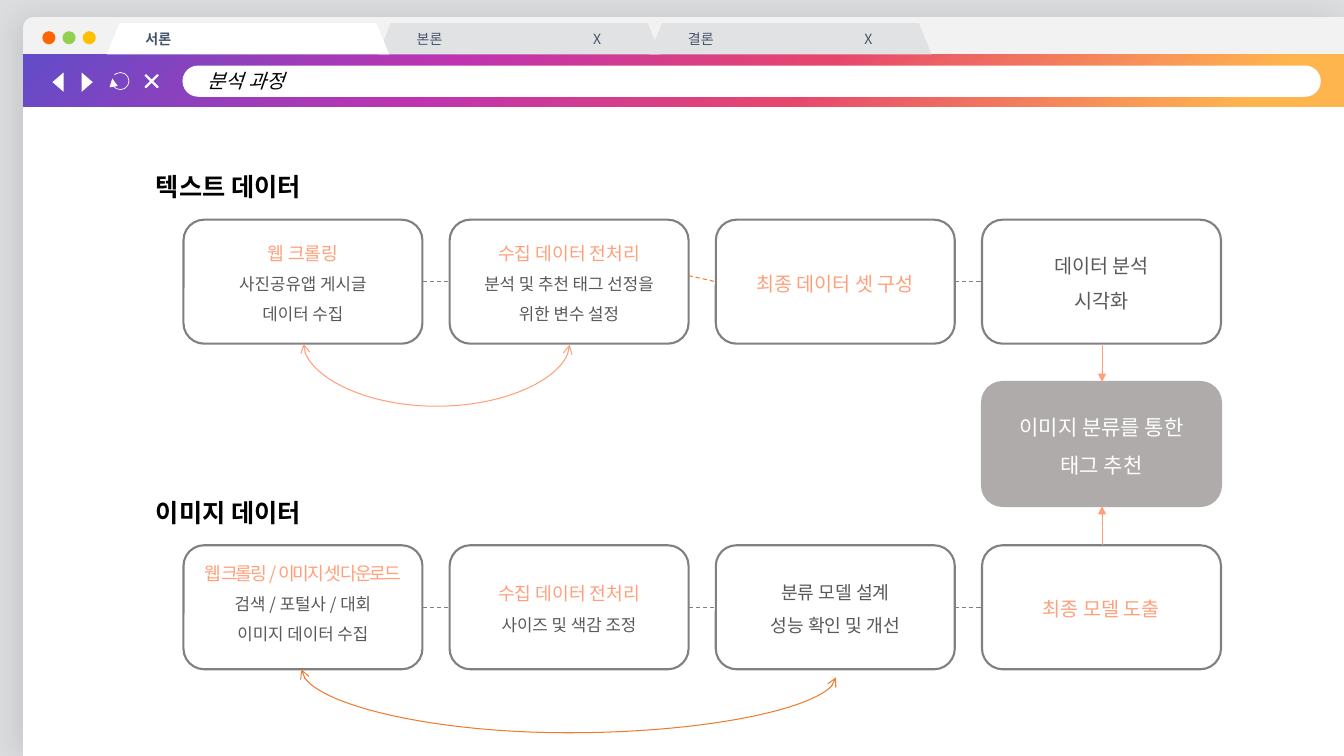
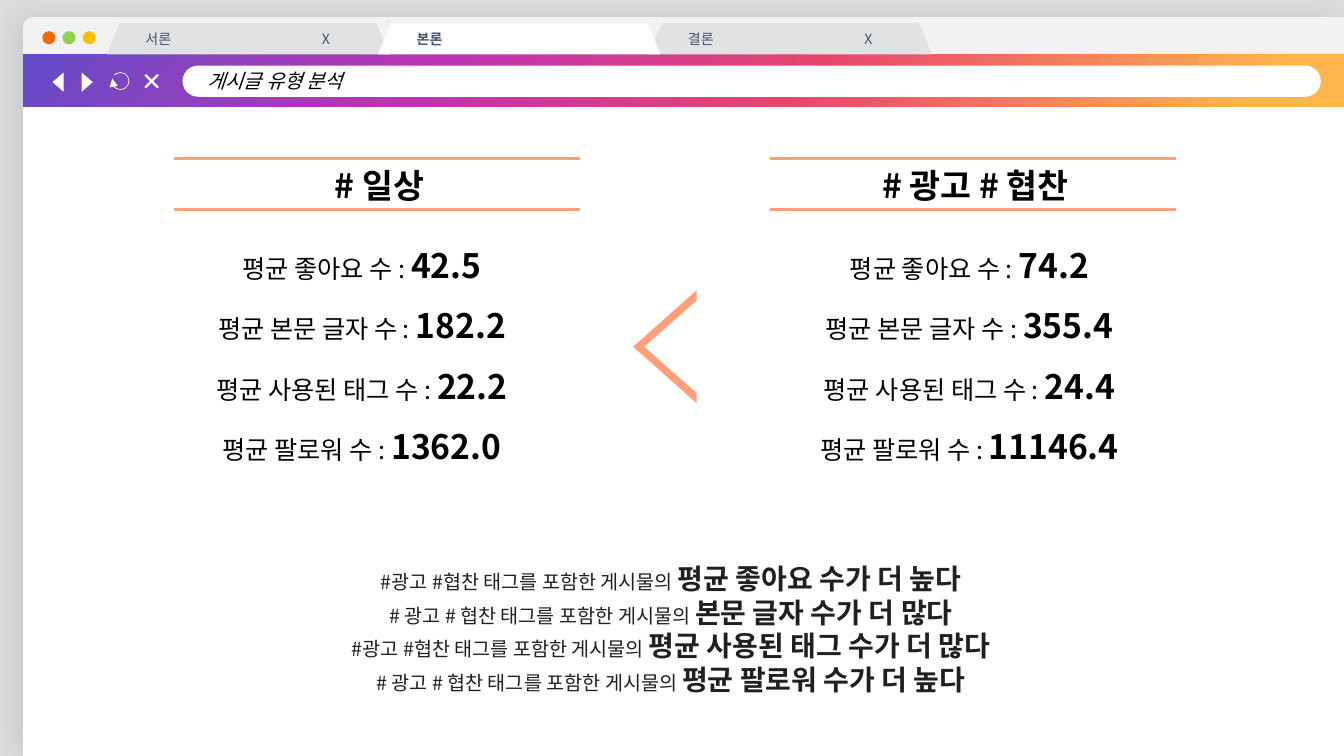
"""Build two browser-styled slides on the analysis process and the post types."""
from lxml.etree import SubElement
from pptx import Presentation
from pptx.dml.color import RGBColor
from pptx.enum.dml import MSO_LINE
from pptx.enum.shapes import MSO_CONNECTOR as LINK, MSO_SHAPE as SHAPE
from pptx.enum.text import MSO_ANCHOR as ANCHOR, PP_ALIGN as ALIGN
from pptx.oxml.ns import qn
from pptx.util import Inches, Pt

FONT = "Noto Sans CJK KR"
BLACK, WHITE, GRAY, DARK = "000000", "FFFFFF", "808080", "595959"
SALMON, ORANGE, SLATE, INK = "FFA07A", "ED7D31", "44546A", "202020"
WIDTH, HEIGHT = 13.33, 7.5
EDGE, BAND_TOP, BAND_HEIGHT = 0.23, 0.54, 0.52
TAB_LEFT, TAB_STEP, TAB_WIDTH, TAB_HEIGHT = 1.06, 2.69, 2.8, 0.31
BOX_LEFT, BOX_STEP, BOX_WIDTH, BOX_HEIGHT = 1.82, 2.64, 2.37, 1.23
TEXT_ROW, IMAGE_ROW, RESULT_ROW = 2.18, 5.41, 3.79


def draw(page, kind, left, top, width, height, fill=None, line=None, weight=1):
    """Add a flat preset shape with the given fill and outline."""
    shape = page.shapes.add_shape(kind, Inches(left), Inches(top), Inches(width), Inches(height))
    shape.shadow.inherit = False
    for paint, color in ((shape.fill, fill), (shape.line.fill, line)):
        if color:
            paint.solid()
            paint.fore_color.rgb = RGBColor.from_string(color)
        else:
            paint.background()
    if line:
        shape.line.width = Pt(weight)
    return shape


def write(para, text, size, color, bold=False, italic=False):
    """Add a formatted span of text to a paragraph."""
    span = para.add_run()
    span.text = text
    font = span.font
    font.name, font.size, font.bold, font.italic = FONT, Pt(size), bold, italic
    font.color.rgb = RGBColor.from_string(color)
    SubElement(span._r.get_or_add_rPr(), qn("a:ea"), typeface=FONT)
    return span


deck = Presentation()
deck.slide_width, deck.slide_height = Inches(WIDTH), Inches(HEIGHT)
layout = deck.slide_layouts[5]
layout.background.fill.solid()
layout.background.fill.fore_color.rgb = RGBColor.from_string("DDDEE0")
process, posts = [deck.slides.add_slide(layout) for _ in range(2)]

window = draw(process, SHAPE.ROUND_1_RECTANGLE, EDGE, 0.17, WIDTH - EDGE, HEIGHT - 0.17, "F2F2F2")
window.adjustments[0] = 0.014
window._element.spPr.xfrm.set("flipH", "1")
effects = window._element.spPr.find(qn("a:effectLst"))
glow = SubElement(effects, qn("a:outerShdw"), blurRad=str(Pt(22)), dist=str(Pt(5)), dir="10800000")
tint = SubElement(glow, qn("a:srgbClr"), val=BLACK)
SubElement(tint, qn("a:alpha"), val="10000")
draw(process, SHAPE.RECTANGLE, EDGE, BAND_TOP, WIDTH - EDGE, HEIGHT - BAND_TOP, WHITE)
for index, color in enumerate(("FF6600", "92D050", "FFC000")):
    draw(process, SHAPE.OVAL, 0.42 + 0.2 * index, 0.31, 0.13, 0.13, color)

band = draw(process, SHAPE.RECTANGLE, EDGE, BAND_TOP, WIDTH - EDGE, BAND_HEIGHT)
band.fill.gradient()
band.fill.gradient_angle = 315
stops = band._element.spPr.find(qn("a:gradFill")).find(qn("a:gsLst"))
for stop in list(stops):
    stops.remove(stop)
for share, color in ((0, "624CC8"), (32, "BF33B0"), (59, "E6466D"), (93, "FFB54E")):
    stop = SubElement(stops, qn("a:gs"), pos=str(share * 1000))
    SubElement(stop, qn("a:srgbClr"), val=color)

address = draw(process, SHAPE.ROUNDED_RECTANGLE, 1.81, 0.65, 11.29, 0.31, WHITE)
address.adjustments[0] = 0.5
for left, angle in ((0.48, 270), (0.77, 90)):
    draw(process, SHAPE.ISOSCELES_TRIANGLE, left, 0.76, 0.19, 0.11, WHITE).rotation = angle
cross = draw(process, SHAPE.MATH_PLUS, 1.39, 0.69, 0.23, 0.23, GRAY, WHITE)
cross.adjustments[0] = 0.04
cross.rotation = 315
reload_arc = draw(process, SHAPE.ARC, 1.11, 0.72, 0.17, 0.17, None, WHITE, 0.5)
reload_arc.adjustments[0], reload_arc.adjustments[1] = 135.6, 118.8
SubElement(reload_arc.line._get_or_add_ln(), qn("a:tailEnd"), type="triangle")
for shape in list(process.shapes):
    if not shape.is_placeholder:
        layout.shapes._spTree.append(shape._element)

tab_names = ("서론", "본론", "결론")
for page, heading, active in ((process, "분석 과정", 0), (posts, "게시글 유형 분석", 1)):
    title = page.shapes.title
    title.left, title.top, title.width, title.height = (
        Inches(1.81), Inches(0.65), Inches(11.29), Inches(0.31))
    frame = title.text_frame
    frame.margin_left, frame.margin_top, frame.margin_bottom = Inches(0.25), 0, 0
    frame.vertical_anchor = ANCHOR.MIDDLE
    frame.paragraphs[0].alignment = ALIGN.LEFT
    write(frame.paragraphs[0], heading, 14, BLACK, italic=True)
    for index in sorted(range(3), key=lambda number: number == active):
        current = index == active
        tab = draw(page, SHAPE.TRAPEZOID, TAB_LEFT + TAB_STEP * index, 0.23, TAB_WIDTH,
                   TAB_HEIGHT, WHITE if current else "E1E2E4")
        tab.adjustments[0] = 0.405
        frame = tab.text_frame
        frame.margin_left, frame.vertical_anchor = Inches(0.3), ANCHOR.MIDDLE
        para = frame.paragraphs[0]
        para.alignment = ALIGN.LEFT
        if not current:
            tabs = SubElement(para._p.get_or_add_pPr(), qn("a:tabLst"))
            SubElement(tabs, qn("a:tab"), pos=str(Inches(1.75)), algn="l")
        write(para, tab_names[index] + ("" if current else "\tX"), 10, SLATE, bold=current)

steps = [
    (0, TEXT_ROW, [("웹 크롤링", 13, SALMON), ("사진공유앱 게시글", 12, DARK),
                   ("데이터 수집", 12, DARK)]),
    (1, TEXT_ROW, [("수집 데이터 전처리", 13, SALMON), ("분석 및 추천 태그 선정을", 12, DARK),
                   ("위한 변수 설정", 12, DARK)]),
    (2, TEXT_ROW, [("최종 데이터 셋 구성", 14, SALMON)]),
    (3, TEXT_ROW, [("데이터 분석", 14, DARK), ("시각화", 14, DARK)]),
    (0, IMAGE_ROW, [("웹 크롤링 / 이미지 셋 다운로드", 13, SALMON),
                    ("검색 / 포털사 / 대회", 12, DARK), ("이미지 데이터 수집", 12, DARK)]),
    (1, IMAGE_ROW, [("수집 데이터 전처리", 13, SALMON), ("사이즈 및 색감 조정", 12, DARK)]),
    (2, IMAGE_ROW, [("분류 모델 설계", 13, DARK), ("성능 확인 및 개선", 13, DARK)]),
    (3, IMAGE_ROW, [("최종 모델 도출", 14, SALMON)]),
    (3, RESULT_ROW, [("이미지 분류를 통한", 15, WHITE), ("태그 추천", 15, WHITE)]),
]
for column, top, lines in steps:
    result = top == RESULT_ROW
    box = draw(process, SHAPE.ROUNDED_RECTANGLE, BOX_LEFT + BOX_STEP * column, top, BOX_WIDTH,
               BOX_HEIGHT, "AFABAB" if result else None, "AFABAB" if result else GRAY, 1.5)
    frame = box.text_frame
    frame.word_wrap, frame.vertical_anchor = True, ANCHOR.MIDDLE
    frame.margin_left = frame.margin_right = Inches(0.04)
    frame.margin_bottom = Inches(0.13)
    for index, (text, size, color) in enumerate(lines):
        para = frame.add_paragraph() if index else frame.paragraphs[0]
        tight = len(text) > 15
        para.alignment, para.line_spacing = ALIGN.CENTER, 1.0 if tight else 1.5
        span = write(para, text, size, color)
        if tight:
            span._r.get_or_add_rPr().set("spc", "-150")

chevron_points = [(6.28, 3.44), (6.91, 2.88), (6.91, 2.98), (6.39, 3.44), (6.91, 3.9), (6.91, 4)]
corners = [(Inches(x), Inches(y)) for x, y in chevron_points]
builder = posts.shapes.build_freeform(*corners[0], scale=1.0)
builder.add_line_segments(corners[1:], close=True)
chevron = builder.convert_to_shape()
chevron.shadow.inherit = False
chevron.fill.solid()
chevron.fill.fore_color.rgb = RGBColor.from_string(SALMON)
chevron.line.fill.background()

measures = ("평균 좋아요 수", "평균 본문 글자 수", "평균 사용된 태그 수", "평균 팔로워 수")
daily, sponsored = [
    [[(f"{measure} : ", 18, BLACK), (value, 24, BLACK, True)]
     for measure, value in zip(measures, values)]
    for values in (("42.5", "182.2", "22.2", "1362.0"), ("74.2", "355.4", "24.4", "11146.4"))]
findings = [
    [(f"{tags} 태그를 포함한 게시물의 ", 14, INK), (finding, 20, INK, True)]
    for tags, finding in (
        ("#광고 #협찬", "평균 좋아요 수가 더 높다"), ("# 광고 # 협찬", "본문 글자 수가 더 많다"),
        ("#광고 #협찬", "평균 사용된 태그 수가 더 많다"), ("# 광고 # 협찬", "평균 팔로워 수가 더 높다"))]
labels = [
    (process, 0.58, 1.65, 3.37, 0.4, 1.0, 0.05, [[("텍스트 데이터", 18, BLACK, True)]]),
    (process, 0.58, 4.88, 3.37, 0.4, 1.0, 0.05, [[("이미지 데이터", 18, BLACK, True)]]),
    (posts, 1.79, 1.59, 3.95, 0.5, 1.0, 0.05, [[("# 일상", 24, BLACK, True)]]),
    (posts, 7.7, 1.59, 3.95, 0.5, 1.0, 0.05, [[("# 광고 # 협찬", 24, BLACK, True)]]),
    (posts, 1.08, 2.23, 5.02, 2.84, 1.5, 0, daily),
    (posts, 6.7, 2.23, 5.83, 2.84, 1.5, 0, sponsored),
    (posts, 0.96, 5.52, 11.39, 1.45, 1.0, 0.05, findings),
]
for page, left, top, width, height, spacing, margin, lines in labels:
    box = page.shapes.add_textbox(Inches(left), Inches(top), Inches(width), Inches(height))
    frame = box.text_frame
    frame.word_wrap = True
    frame.margin_top = frame.margin_bottom = Inches(margin)
    for index, spans in enumerate(lines):
        para = frame.add_paragraph() if index else frame.paragraphs[0]
        para.alignment, para.line_spacing = ALIGN.CENTER, spacing
        for span in spans:
            write(para, *span)

links = []
for row, gaps in ((TEXT_ROW, (0, 1, 2)), (IMAGE_ROW, (0, 1, 2))):
    for gap in gaps:
        slanted = row == TEXT_ROW and gap == 1
        end = BOX_LEFT + BOX_STEP * (gap + 1)
        middle = row + BOX_HEIGHT / 2
        links.append((process, end - BOX_STEP + BOX_WIDTH, middle - 0.06 * slanted, end, middle,
                      ORANGE if slanted else GRAY, 0.75, "dash"))
for start, end in ((TEXT_ROW + BOX_HEIGHT, RESULT_ROW), (IMAGE_ROW, RESULT_ROW + BOX_HEIGHT)):
    links.append((process, 10.93, start, 10.93, end, SALMON, 0.5, "arrow"))
for left in (1.73, 7.64):
    for top in (1.57, 2.08):
        links.append((posts, left, top, left + 4.02, top, SALMON, 2.25, "rule"))
for left, right, top, drop, color in ((3.01, 5.65, 3.41, 0.01, SALMON),
                                      (2.99, 8.29, 6.64, 0.08, ORANGE)):
    center, middle, span = (left + right) / 2, top + drop / 2, right - left
    links.append((process, center - drop / 2, middle - span / 2, center + drop / 2,
                  middle + span / 2, color, 0.75, "curve"))

for page, left, top, right, bottom, color, weight, style in links:
    kind = LINK.CURVE if style == "curve" else LINK.STRAIGHT
    link = page.shapes.add_connector(kind, Inches(left), Inches(top), Inches(right), Inches(bottom))
    link.line.color.rgb = RGBColor.from_string(color)
    link.line.width = Pt(weight)
    outline, properties = link.line._get_or_add_ln(), link._element.spPr
    SubElement(properties, qn("a:effectLst"))
    if style == "dash":
        link.line.dash_style = MSO_LINE.DASH
    elif style == "arrow":
        SubElement(outline, qn("a:tailEnd"), type="triangle")
    elif style == "curve":
        for end in ("a:headEnd", "a:tailEnd"):
            SubElement(outline, qn(end), type="arrow")
        properties.xfrm.set("rot", "16200000")
        properties.xfrm.set("flipH", "1")
        guides = properties.find(qn("a:prstGeom")).find(qn("a:avLst"))
        bend = round(0.63 / (right - left) * 100000)
        SubElement(guides, qn("a:gd"), name="adj1", fmla=f"val {bend}")

deck.save("out.pptx")
